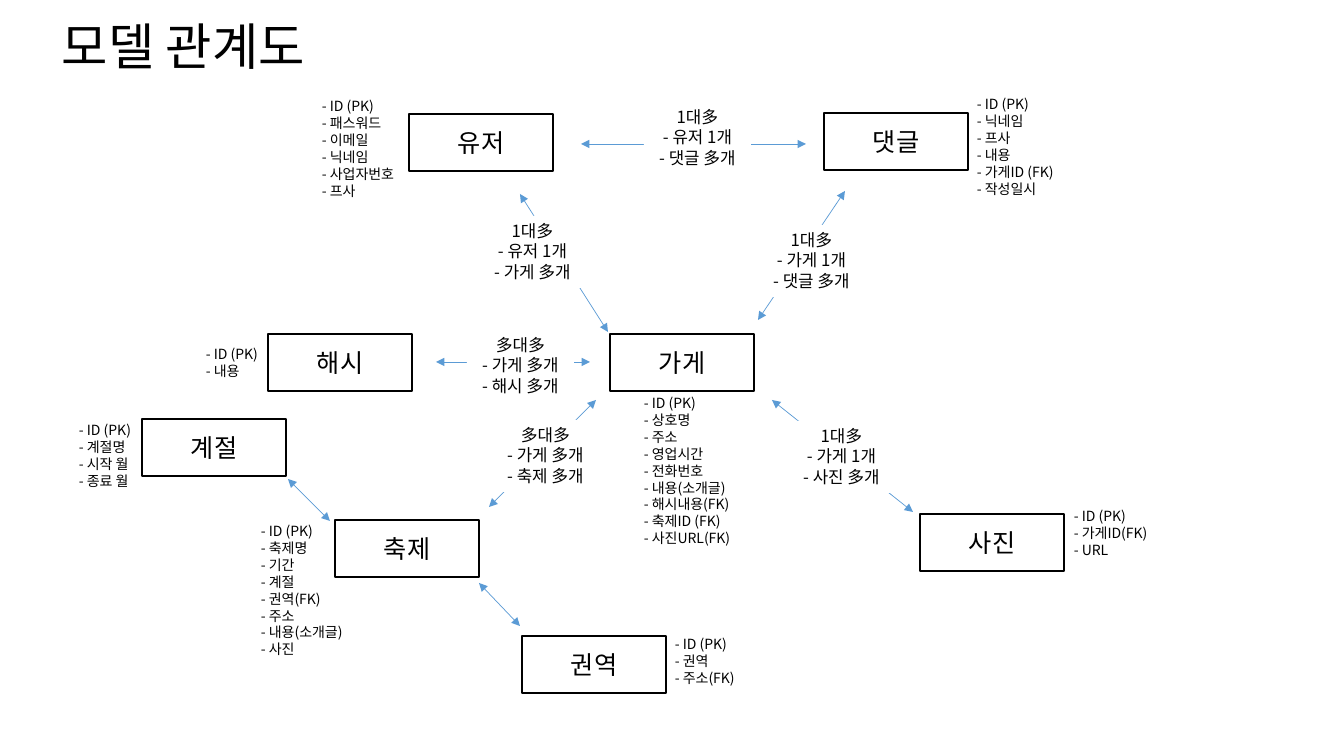
from pptx import Presentation
from pptx import util as u
from pptx.dml.color import RGBColor
from pptx.enum import shapes, text
from pptx.oxml.ns import qn
from lxml import etree

FONT = "Noto Sans CJK KR"
COLORS = {"ink": "000000", "paper": "FFFFFF", "arrow": "5B9BD5"}
PX = 914400 / 100.8
BOX_SIZE = (144, 57)
LABEL_WIDTH = 107

TITLE = ("모델 관계도", (-69, 52, 505, 29))

# name, box corner, field list frame, fields
ENTITIES = [
    ("유저", (409, 114), (312, 93, 102, 112),
     ["ID (PK)", "패스워드", "이메일", "닉네임", "사업자번호", "프사"]),
    ("댓글", (824, 113), (967, 91, 102, 129),
     ["ID (PK)", "닉네임", "프사", "내용", "가게ID (FK)", "작성일시"]),
    ("가게", (610, 334), (634, 390, 112, 163),
     ["ID (PK)", "상호명", "주소", "영업시간", "전화번호", "내용(소개글)",
      "해시내용(FK)", "축제ID (FK)", "사진URL(FK)"]),
    ("축제", (335, 520), (251, 518, 110, 146),
     ["ID (PK)", "축제명", "기간", "계절", "권역(FK)", "주소", "내용(소개글)", "사진"]),
    ("해시", (268, 334), (196, 341, 75, 44), ["ID (PK)", "내용"]),
    ("사진", (920, 514), (1064, 503, 97, 61), ["ID (PK)", "가게ID(FK)", "URL"]),
    ("권역", (522, 636), (665, 631, 84, 61), ["ID (PK)", "권역", "주소(FK)"]),
    ("계절", (142, 419), (69, 417, 79, 78), ["ID (PK)", "계절명", "시작 월", "종료 월"]),
]

ARROWS = [
    (581, 144, 806, 144), (845, 191, 758, 320), (520, 194, 608, 332),
    (436, 362, 590, 362), (772, 400, 913, 512), (596, 400, 489, 507),
    (479, 583, 520, 626), (288, 479, 330, 521),
]

# left, top, height, relation, the two sides
RELATIONS = [
    (644, 102, 92, "1대多", ["유저 1개", "댓글 多개"]),
    (758, 225, 72, "1대多", ["가게 1개", "댓글 多개"]),
    (479, 216, 72, "1대多", ["유저 1개", "가게 多개"]),
    (467, 330, 72, "多대多", ["가게 多개", "해시 多개"]),
    (788, 421, 72, "1대多", ["가게 1개", "사진 多개"]),
    (492, 420, 72, "多대多", ["가게 多개", "축제 多개"]),
]


def emu(*lengths):
    return [u.Emu(round(length * PX)) for length in lengths]


def color(name):
    return RGBColor.from_string(COLORS[name])


def dashed(items):
    return [f"- {item}" for item in items]


def write(shape, lines, size, align=text.PP_ALIGN.CENTER,
          anchor=text.MSO_ANCHOR.TOP, wrap=True, grow=False, spacing=None):
    frame = shape.text_frame
    frame.word_wrap = wrap
    frame.vertical_anchor = anchor
    if grow:
        frame.auto_size = text.MSO_AUTO_SIZE.SHAPE_TO_FIT_TEXT
    for index, line in enumerate(lines):
        paragraph = frame.add_paragraph() if index else frame.paragraphs[0]
        paragraph.alignment = align
        if spacing:
            paragraph.line_spacing = spacing
        run = paragraph.add_run()
        run.text = line
        run.font.size = u.Pt(size)
        run.font.color.rgb = color("ink")
        run.font.name = FONT
        east_asian = etree.SubElement(run.font._element, qn("a:ea"))
        east_asian.set("typeface", FONT)


def add_rectangle(slide, frame, fill=None, line=None):
    shape = slide.shapes.add_shape(shapes.MSO_SHAPE.RECTANGLE, *emu(*frame))
    shape.shadow.inherit = False
    if fill:
        shape.fill.solid()
        shape.fill.fore_color.rgb = color(fill)
    else:
        shape.fill.background()
    if line:
        shape.line.color.rgb = color(line)
        shape.line.width = u.Pt(1)
    else:
        shape.line.fill.background()
    return shape


def add_arrow(slide, ends):
    arrow = slide.shapes.add_connector(shapes.MSO_CONNECTOR.STRAIGHT, *emu(*ends))
    arrow.line.color.rgb = color("arrow")
    arrow.line.width = u.Pt(0.5)
    for end in ("a:headEnd", "a:tailEnd"):
        etree.SubElement(arrow.line._get_or_add_ln(), qn(end)).set("type", "triangle")
    etree.SubElement(arrow._element.spPr, qn("a:effectLst"))


def main():
    presentation = Presentation()
    presentation.slide_width, presentation.slide_height = emu(1344, 756)
    slide = presentation.slides.add_slide(presentation.slide_layouts[6])

    for ends in ARROWS:
        add_arrow(slide, ends)
    for left, top, height, relation, sides in RELATIONS:
        label = add_rectangle(slide, (left, top, LABEL_WIDTH, height), fill="paper")
        write(label, [relation] + dashed(sides), 12, wrap=False, grow=True)
    for name, corner, field_frame, fields in ENTITIES:
        box = add_rectangle(slide, corner + BOX_SIZE, line="ink")
        write(box, [name], 18, anchor=text.MSO_ANCHOR.MIDDLE)
        field_list = slide.shapes.add_textbox(*emu(*field_frame))
        write(field_list, dashed(fields), 10, align=text.PP_ALIGN.LEFT, grow=True)

    heading, frame = TITLE
    title = slide.shapes.add_textbox(*emu(*frame))
    write(title, [heading], 36, anchor=text.MSO_ANCHOR.BOTTOM, spacing=0.9)
    presentation.save("out.pptx")


if __name__ == "__main__":
    main()
